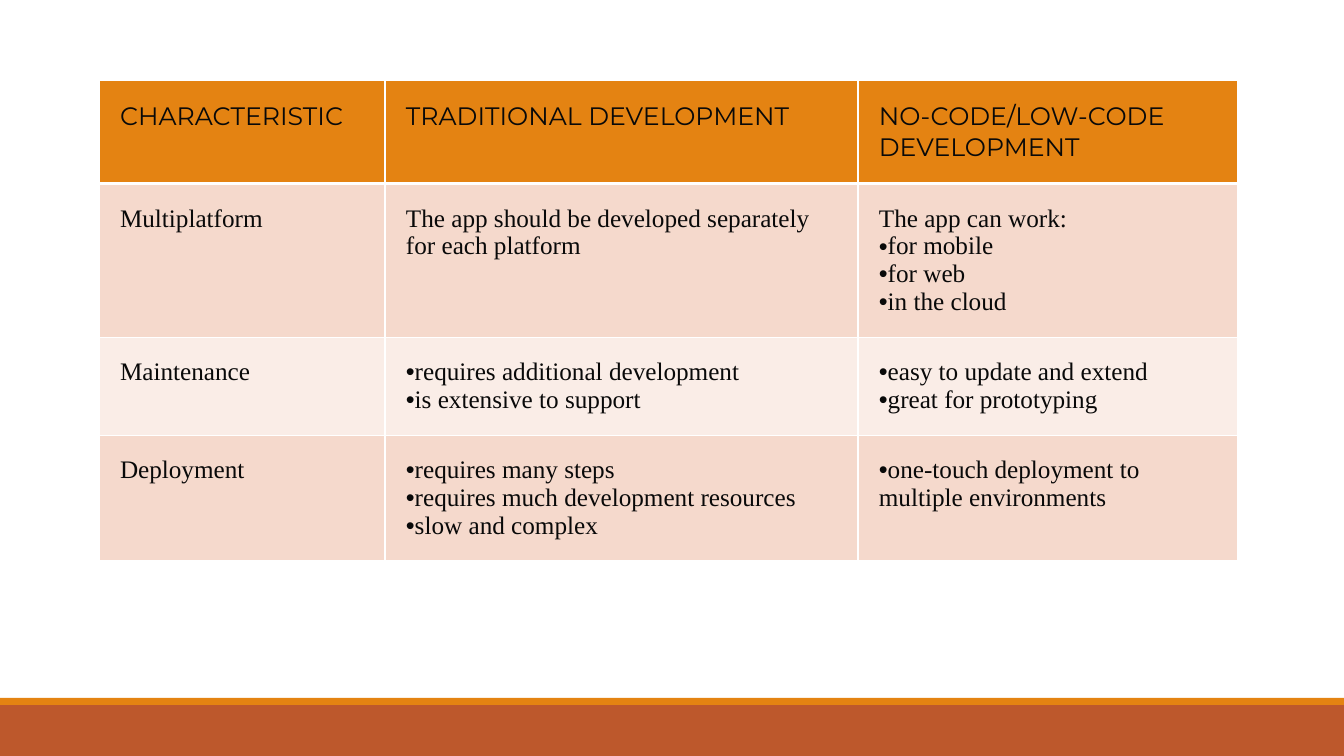
from lxml import etree
from pptx import Presentation
from pptx.dml.color import RGBColor
from pptx.enum.shapes import MSO_SHAPE
from pptx.oxml.ns import qn
from pptx.util import Pt

RECTANGLE = MSO_SHAPE.RECTANGLE

SLIDE_WIDTH, SLIDE_HEIGHT = 1344, 756
EMU_PER_PX = 12192000 / SLIDE_WIDTH

ORANGE = RGBColor(0xE4, 0x83, 0x12)
RUST = RGBColor(0xBD, 0x58, 0x2C)
PEACH = RGBColor(0xF5, 0xD9, 0xCC)
PALE_PEACH = RGBColor(0xFA, 0xED, 0xE7)
INK = RGBColor(0x09, 0x09, 0x09)
WHITE = RGBColor(0xFF, 0xFF, 0xFF)

HEADER_FONT = "Montserrat"
BODY_FONT = "Times New Roman"
BULLET = "•"
CELL_MARGIN = 21
COLUMN_WIDTHS = [286, 473, 380]
ROW_HEIGHTS = [103, 153, 98, 125]

COMPARISON = [
    ["CHARACTERISTIC", "TRADITIONAL DEVELOPMENT", "NO-CODE/LOW-CODE DEVELOPMENT"],
    ["Multiplatform",
     "The app should be developed separately for each platform",
     "The app can work:\n•for mobile\n•for web\n•in the cloud"],
    ["Maintenance",
     "•requires additional development\n•is extensive to support",
     "•easy to update and extend\n•great for prototyping"],
    ["Deployment",
     "•requires many steps\n•requires much development resources\n•slow and complex",
     "•one-touch deployment to multiple environments"],
]


def px(length):
    return round(length * EMU_PER_PX)


def add_bar(slide, left, top, width, height, color):
    bar = slide.shapes.add_shape(RECTANGLE, px(left), px(top), px(width), px(height))
    bar.shadow.inherit = False
    bar.fill.solid()
    bar.fill.fore_color.rgb = color
    bar.line.fill.background()


def add_footer(slide, left, top, width, height):
    stripe_height = 7
    add_bar(slide, left, top + stripe_height, width, height - stripe_height, RUST)
    add_bar(slide, left, top, width, stripe_height, ORANGE)


def set_borders(cell, top_width, bottom_width):
    properties = cell._tc.get_or_add_tcPr()
    widths = {"a:lnL": 1, "a:lnR": 1, "a:lnT": top_width, "a:lnB": bottom_width}
    for tag, width in widths.items():
        border = etree.SubElement(properties, qn(tag), w=str(Pt(width)))
        fill = etree.SubElement(border, qn("a:solidFill"))
        etree.SubElement(fill, qn("a:srgbClr"), val=str(WHITE))


def set_bullet(paragraph):
    properties = paragraph._p.get_or_add_pPr()
    properties.set("marL", "0")
    properties.set("indent", "0")
    bullet_font = etree.Element(qn("a:buFont"), typeface="Arial")
    bullet = etree.Element(qn("a:buChar"), char=BULLET)
    properties.insert(0, bullet_font)
    properties.insert(1, bullet)


def write_cell(cell, text, font_name):
    cell.margin_left = cell.margin_right = px(CELL_MARGIN)
    cell.margin_top = cell.margin_bottom = px(CELL_MARGIN)
    lines = text.split("\n")
    cell.text_frame.text = "\n".join(line.removeprefix(BULLET) for line in lines)
    for paragraph, line in zip(cell.text_frame.paragraphs, lines):
        if line.startswith(BULLET):
            set_bullet(paragraph)
        paragraph.font.name = font_name
        paragraph.font.size = Pt(18)
        paragraph.font.bold = False
        paragraph.font.color.rgb = INK


def add_comparison_table(slide, left, top):
    table = slide.shapes.add_table(
        len(ROW_HEIGHTS), len(COLUMN_WIDTHS), px(left), px(top),
        px(sum(COLUMN_WIDTHS)), px(sum(ROW_HEIGHTS))).table
    for column, width in zip(table.columns, COLUMN_WIDTHS):
        column.width = px(width)
    row_fills = [ORANGE, PEACH, PALE_PEACH, PEACH]
    for row_index, (row, height, texts) in enumerate(zip(table.rows, ROW_HEIGHTS, COMPARISON)):
        row.height = px(height)
        is_header = row_index == 0
        for cell, text in zip(row.cells, texts):
            write_cell(cell, text, HEADER_FONT if is_header else BODY_FONT)
            set_borders(cell, 3 if row_index == 1 else 1, 3 if is_header else 1)
            cell.fill.solid()
            cell.fill.fore_color.rgb = row_fills[row_index]


def main():
    presentation = Presentation()
    presentation.slide_width = px(SLIDE_WIDTH)
    presentation.slide_height = px(SLIDE_HEIGHT)
    slide = presentation.slides.add_slide(presentation.slide_layouts[6])
    add_footer(slide, 0, 698, SLIDE_WIDTH, SLIDE_HEIGHT - 698)
    add_comparison_table(slide, 99, 80)
    presentation.save("out.pptx")


if __name__ == "__main__":
    main()
